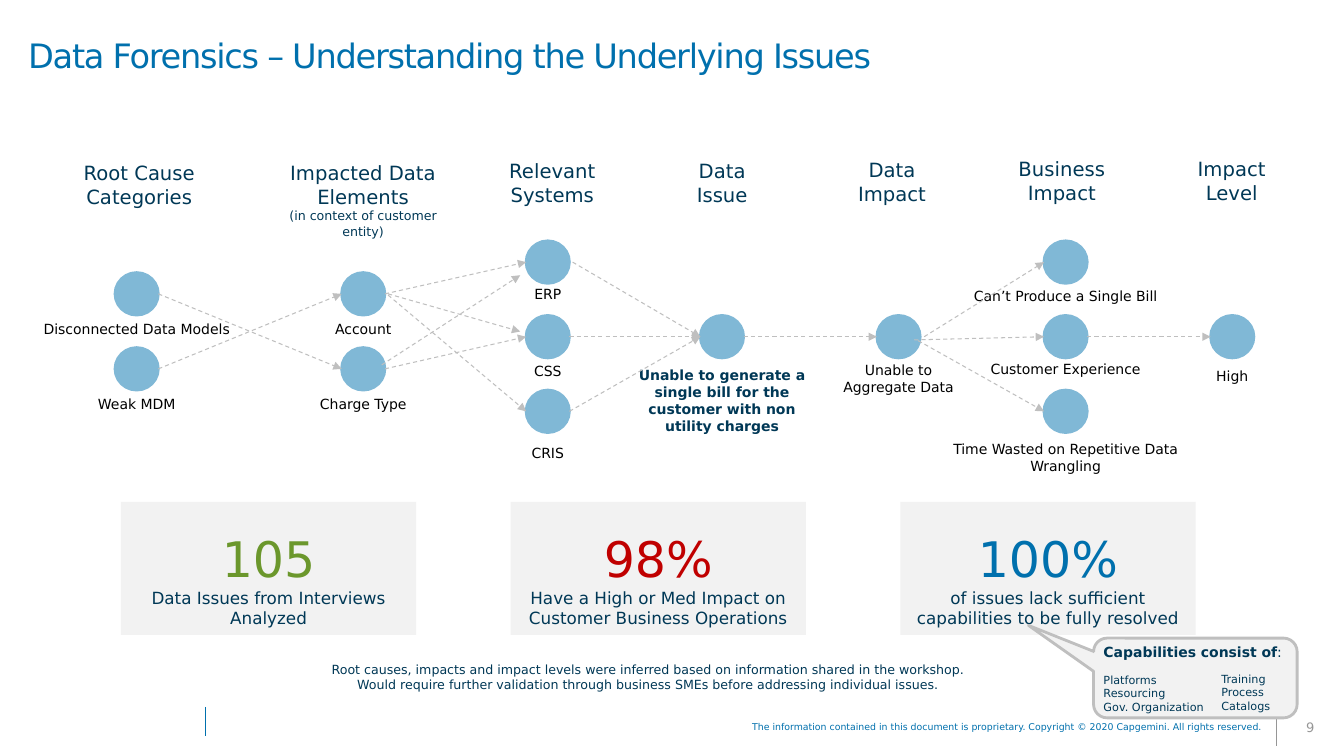
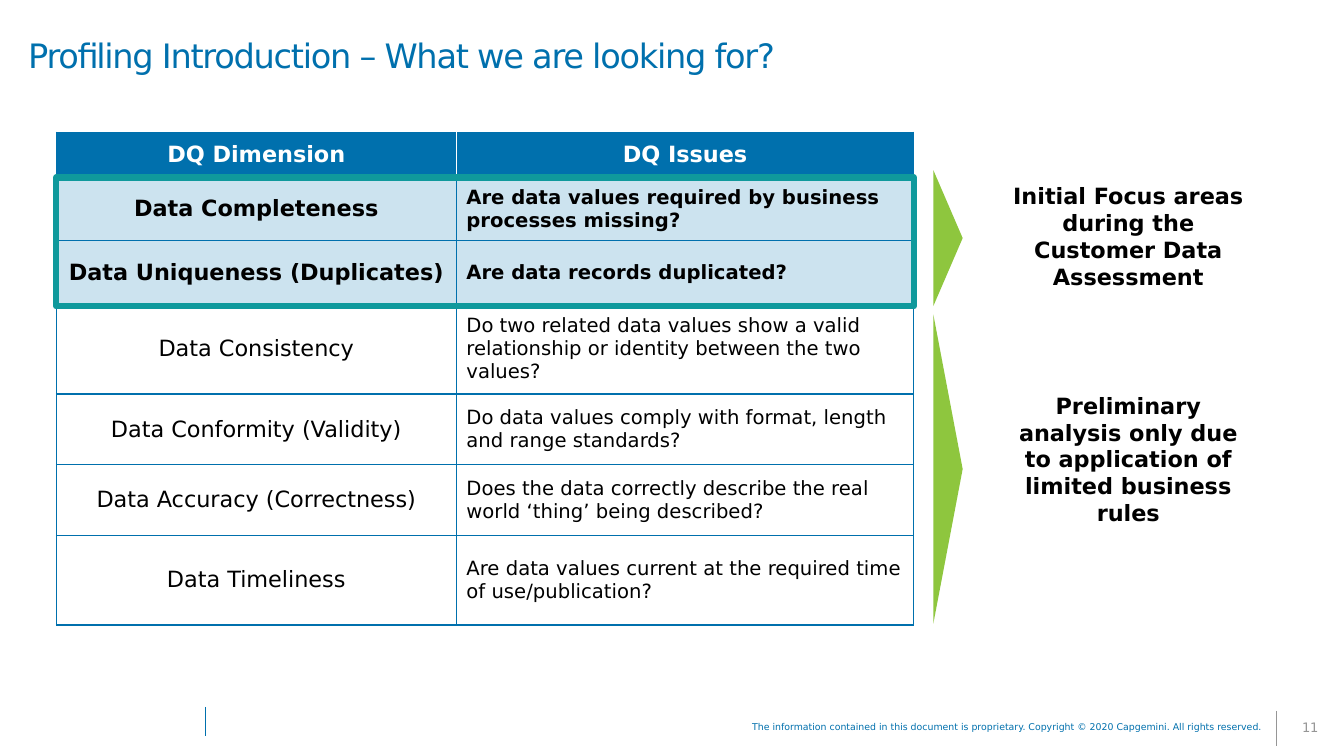
"""Build two slides on data forensics and data profiling."""
from lxml import etree
from pptx import Presentation
from pptx.dml.color import RGBColor
from pptx.enum.dml import MSO_LINE
from pptx.enum.shapes import MSO_CONNECTOR, MSO_SHAPE
from pptx.enum.text import MSO_ANCHOR, MSO_AUTO_SIZE, PP_ALIGN
from pptx.oxml.ns import qn
from pptx.util import Cm, Pt

RECT, OVAL = MSO_SHAPE.RECTANGLE, MSO_SHAPE.OVAL
WEDGE = MSO_SHAPE.ROUNDED_RECTANGULAR_CALLOUT
PEAK = MSO_SHAPE.ISOSCELES_TRIANGLE
LINE, DASH = MSO_CONNECTOR.STRAIGHT, MSO_LINE.DASH
LEFT, MID, RIGHT = PP_ALIGN.LEFT, PP_ALIGN.CENTER, PP_ALIGN.RIGHT
TOP, CENTRE = MSO_ANCHOR.TOP, MSO_ANCHOR.MIDDLE
NO_FIT = MSO_AUTO_SIZE.NONE

BLUE = RGBColor(0x00, 0x70, 0xAD)
NAVY = RGBColor(0x00, 0x38, 0x56)
SKY = RGBColor(0x80, 0xB8, 0xD6)
PALE = RGBColor(0xCC, 0xE3, 0xEF)
TEAL = RGBColor(0x0F, 0x99, 0x9C)
GREEN = RGBColor(0x6B, 0x97, 0x2C)
LIME = RGBColor(0x8E, 0xC6, 0x3E)
RED = RGBColor(0xC0, 0x00, 0x00)
BLACK = RGBColor(0x00, 0x00, 0x00)
WHITE = RGBColor(0xFF, 0xFF, 0xFF)
MIST = RGBColor(0xF2, 0xF2, 0xF2)
SILVER = RGBColor(0xBF, 0xBF, 0xBF)
GREY = RGBColor(0x96, 0x96, 0x96)

FONT = "DejaVu Sans"
WIDE, HIGH = 33.87, 19.05
NOTICE = ("The information contained in this document is proprietary. "
          "Copyright © 2020 Capgemini. All rights reserved.")

NODE_W, NODE_H = 1.09, 1.07
LABEL_W = 6.8
COLS = (2.9, 8.61, 13.26, 17.65, 22.1, 26.31, 30.51)
ROWS = (6.07, 7.95, 9.83)
PAIR = (6.87, 8.76)

HEADS = [
    (["Root Cause Categories"], 1.02, 3.94, 4.98),
    (["Impacted Data Elements"], 6.99, 3.94, 4.32),
    (["Relevant Systems"], 12.27, 3.89, 3.3),
    (["Data", "Issue"], 16.55, 3.89, 3.3),
    (["Data Impact"], 20.83, 3.86, 3.3),
    (["Business Impact"], 25.11, 3.84, 3.3),
    (["Impact Level"], 29.39, 3.84, 3.3),
]

NODES = {
    "models": (COLS[0], PAIR[0], 7.95, ["Disconnected Data Models"]),
    "mdm": (COLS[0], PAIR[1], 9.83, ["Weak MDM"]),
    "account": (COLS[1], PAIR[0], 7.95, ["Account"]),
    "charge": (COLS[1], PAIR[1], 9.83, ["Charge Type"]),
    "erp": (COLS[2], ROWS[0], 7.06, ["ERP"]),
    "css": (COLS[2], ROWS[1], 9.02, ["CSS"]),
    "cris": (COLS[2], ROWS[2], 11.07, ["CRIS"]),
    "issue": (COLS[3], ROWS[1], 9.12, []),
    "data": (COLS[4], ROWS[1], 8.99, ["Unable to", "Aggregate Data"]),
    "bill": (COLS[5], ROWS[0], 7.11, ["Can’t Produce a Single Bill"]),
    "client": (COLS[5], ROWS[1], 8.97, ["Customer Experience"]),
    "time": (COLS[5], ROWS[2], 10.97,
             ["Time Wasted on Repetitive Data Wrangling"]),
    "high": (COLS[6], ROWS[1], 9.14, ["High"]),
}
ISSUE = "Unable to generate a single bill for the customer with non utility charges"

FLUSH = (0, 0)
LINKS = [
    ("models", "charge", FLUSH, FLUSH),
    ("mdm", "account", FLUSH, FLUSH),
    ("account", "erp", FLUSH, FLUSH),
    ("account", "css", (0.08, 0), (-0.15, -0.13)),
    ("charge", "erp", (-0.08, -0.1), (-0.15, 0.33)),
    ("account", "cris", (0.08, 0.03), FLUSH),
    ("charge", "css", FLUSH, FLUSH),
    ("erp", "issue", (0.08, 0), FLUSH),
    ("css", "issue", FLUSH, FLUSH),
    ("cris", "issue", FLUSH, FLUSH),
    ("issue", "data", FLUSH, FLUSH),
    ("data", "bill", (0.1, 0), FLUSH),
    ("data", "client", (-0.15, 0.08), FLUSH),
    ("data", "time", (-0.05, 0.1), FLUSH),
    ("client", "high", FLUSH, FLUSH),
]

CARDS = [
    ("105", GREEN, "Data Issues from Interviews Analyzed"),
    ("98%", RED, "Have a High or Med Impact on Customer Business Operations"),
    ("100%", BLUE, "of issues lack sufficient capabilities to be fully resolved"),
]

CHECKS = [
    ("DQ Dimension", "DQ Issues", 1.14),
    ("Data Completeness",
     "Are data values required by business processes missing?", 1.6),
    ("Data Uniqueness (Duplicates)", "Are data records duplicated?", 1.6),
    ("Data Consistency", "Do two related data values show a valid relationship "
     "or identity between the two values?", 2.26),
    ("Data Conformity (Validity)",
     "Do data values comply with format, length and range standards?", 1.78),
    ("Data Accuracy (Correctness)",
     "Does the data correctly describe the real world ‘thing’ being described?",
     1.78),
    ("Data Timeliness",
     "Are data values current at the required time of use/publication?", 2.26),
]

SCOPES = [
    ("Initial Focus areas during the Customer Data Assessment",
     6.0, 3.43, 4.47, 3.0),
    ("Preliminary analysis only due to application of limited business rules",
     11.82, 7.8, 9.75, 3.68),
]


def add_run(para, text, size, color, bold=False):
    """Add one formatted run to a paragraph."""
    run = para.add_run()
    run.text = text
    font = run.font
    font.name, font.size, font.bold = FONT, Pt(size), bold
    font.color.rgb = color
    return run


def add_para(frame, text, size, color, bold=False, align=MID):
    """Add a paragraph, using the empty first one where there is one."""
    para = frame.paragraphs[0]
    if para.runs:
        para = frame.add_paragraph()
    para.alignment = align
    add_run(para, text, size, color, bold)
    return para


def add_text(slide, box, lines, size, color, bold=False, align=MID, anchor=TOP):
    """Add a wrapping text box with one paragraph a line."""
    frame = slide.shapes.add_textbox(*map(Cm, box)).text_frame
    frame.word_wrap = True
    frame.vertical_anchor = anchor
    for line in lines:
        add_para(frame, line, size, color, bold, align)
    return frame


def add_form(slide, kind, box, fill=None, edge=None, width=2):
    """Add a flat preset shape."""
    form = slide.shapes.add_shape(kind, *map(Cm, box))
    form.shadow.inherit = False
    if fill is None:
        form.fill.background()
    else:
        form.fill.solid()
        form.fill.fore_color.rgb = fill
    if edge is None:
        form.line.fill.background()
    else:
        form.line.color.rgb = edge
        form.line.width = Pt(width)
    return form


def add_line(slide, start, stop, color):
    """Add a thin straight line without a shadow."""
    line = slide.shapes.add_connector(LINE, *map(Cm, (*start, *stop)))
    line.line.color.rgb = color
    line.line.width = Pt(0.75)
    etree.SubElement(line._element.spPr, qn("a:effectLst"))
    return line


def add_link(slide, first, last, start, stop):
    """Add a dashed arrow from one node's right to another's left."""
    left, top = NODES[first][:2]
    end, low = NODES[last][:2]
    half = NODE_H / 2
    link = add_line(slide, (left + NODE_W + start[0], top + half + start[1]),
                    (end + stop[0], low + half + stop[1]), SILVER)
    link.line.dash_style = DASH
    etree.SubElement(link.line._get_or_add_ln(), qn("a:tailEnd"), type="triangle")


def add_label(slide, left, top, lines, width=LABEL_W, color=BLACK, bold=False):
    """Add a caption centred on a node."""
    box = (left + (NODE_W - width) / 2, top, width, 0.69)
    add_text(slide, box, lines, 10, color, bold)


def add_card(slide, left, value, color, text):
    """Add a grey card with a large figure and its meaning."""
    frame = add_form(slide, RECT, (left, 12.65, 7.44, 3.35), MIST).text_frame
    frame.word_wrap = True
    frame.vertical_anchor = CENTRE
    frame.margin_top = Cm(0.62)
    add_para(frame, value, 35, color)
    add_para(frame, text, 12, NAVY)


def add_edge(cell, side, color):
    """Draw one border of a table cell."""
    edge = etree.Element(qn("a:ln" + side), w=str(Pt(1)))
    fill = etree.SubElement(edge, qn("a:solidFill"))
    etree.SubElement(fill, qn("a:srgbClr"), val=str(color))
    cell._tc.get_or_add_tcPr().append(edge)


def fill_cell(cell, row, col, text):
    """Write and format one cell of the table."""
    head, focus = row == 0, row in (1, 2)
    for side in "LRTB":
        inner = head and side == "RL"[col]
        add_edge(cell, side, WHITE if inner else BLUE)
    cell.fill.solid()
    cell.fill.fore_color.rgb = BLUE if head else PALE if focus else WHITE
    cell.vertical_anchor = CENTRE
    main = head or col == 0
    add_para(cell.text_frame, text, 16 if main else 14,
             WHITE if head else BLACK, head or focus, MID if main else LEFT)


def add_grid(slide):
    """Add the table of quality dimensions."""
    tall = sum(check[-1] for check in CHECKS)
    box = map(Cm, (1.42, 3.33, 21.61, tall))
    grid = slide.shapes.add_table(len(CHECKS), 2, *box).table
    grid.first_row = grid.horz_banding = False
    grid.columns[0].width, grid.columns[1].width = Cm(10.08), Cm(11.53)
    for row, (*texts, high) in enumerate(CHECKS):
        grid.rows[row].height = Cm(high)
        for col, text in enumerate(texts):
            fill_cell(grid.cell(row, col), row, col, text)


def add_page(deck, title, number):
    """Add a slide with its title, footer and page number."""
    slide = deck.slides.add_slide(deck.slide_layouts[5])
    head = slide.shapes.title
    head.left, head.top = Cm(0), Cm(0)
    head.width, head.height = Cm(WIDE), Cm(2.95)
    frame = head.text_frame
    frame.auto_size, frame.word_wrap = NO_FIT, True
    frame.vertical_anchor = CENTRE
    frame.margin_left, frame.margin_right = Cm(0.71), Cm(0.38)
    frame.margin_top = frame.margin_bottom = Cm(0.08)
    para = add_para(frame, title, 24, BLUE, align=LEFT)
    para.line_spacing = 0.85
    para.runs[0].font._element.set("spc", "-90")
    add_line(slide, (32.18, 17.91), (32.18, 18.8), GREY)
    add_line(slide, (5.18, 17.81), (5.18, 18.54), BLUE)
    page = add_text(slide, (32.18, 17.91, 1.68, 0.89), [number], 9.3, GREY,
                    anchor=CENTRE)
    foot = add_text(slide, (15.21, 18.08, 16.87, 0.51), [NOTICE], 6.7, BLUE,
                    align=RIGHT)
    for part in (page, foot):
        part.paragraphs[0].line_spacing = 0.85
    return slide


def add_skills(slide):
    """Add the callout that lists the capabilities."""
    box = (27.56, 16.08, 5.13, 2.01)
    form = add_form(slide, WEDGE, box, MIST, SILVER)
    for spot, value in enumerate((-0.82, -0.66, 0.17)):
        form.adjustments[spot] = value
    frame = add_text(slide, (27.56, 16.08, 5.6, 2.06),
                     ["Capabilities consist of"], 10, NAVY, True, LEFT)
    add_run(frame.paragraphs[0], ":", 10, NAVY)
    first = add_para(frame, "Platforms", 8, NAVY, align=LEFT)
    first.space_before = Pt(9.4)
    for text in ("Resourcing", "Gov. Organization"):
        add_para(frame, text, 8, NAVY, align=LEFT)
    add_text(slide, (30.53, 16.81, 2.16, 1.27),
             ["Training", "Process", "Catalogs"], 8, NAVY, align=LEFT)


def build_map(deck):
    """Build the slide that traces causes to impacts."""
    slide = add_page(deck, "Data Forensics – Understanding the Underlying Issues", "9")
    for spot, card in enumerate(CARDS):
        add_card(slide, 3.05 + 9.82 * spot, *card)
    heads = [add_text(slide, (left, top, width, 1.45), lines, 14, NAVY)
             for lines, left, top, width in HEADS]
    add_para(heads[1], "(in context of customer entity)", 9, NAVY)
    for left, top, low, lines in NODES.values():
        add_form(slide, OVAL, (left, top, NODE_W, NODE_H), SKY, SKY)
        if lines:
            add_label(slide, left, low, lines)
        else:
            add_label(slide, left, low, [ISSUE], 5.46, NAVY, True)
    for link in LINKS:
        add_link(slide, *link)
    add_text(slide, (7.9, 16.56, 16.84, 1.02), [
        "Root causes, impacts and impact levels were inferred based on "
        "information shared in the workshop.",
        "Would require further validation through business SMEs before "
        "addressing individual issues."], 9, NAVY)
    add_skills(slide)


def build_scope(deck):
    """Build the slide that lists the quality dimensions."""
    slide = add_page(deck, "Profiling Introduction – What we are looking for?", "11")
    add_grid(slide)
    add_form(slide, RECT, (1.42, 4.47, 21.61, 3.25), edge=TEAL, width=4.5)
    for text, mid, span, top, high in SCOPES:
        box = (23.89 - span / 2, mid - 0.37, span, 0.74)
        add_form(slide, PEAK, box, LIME).rotation = 90
        add_text(slide, (25.12, top, 6.63, high), [text], 16, BLACK, True)


def main():
    """Build and save the deck."""
    deck = Presentation()
    deck.slide_width, deck.slide_height = Cm(WIDE), Cm(HIGH)
    build_map(deck)
    build_scope(deck)
    deck.save("out.pptx")


if __name__ == "__main__":
    main()
